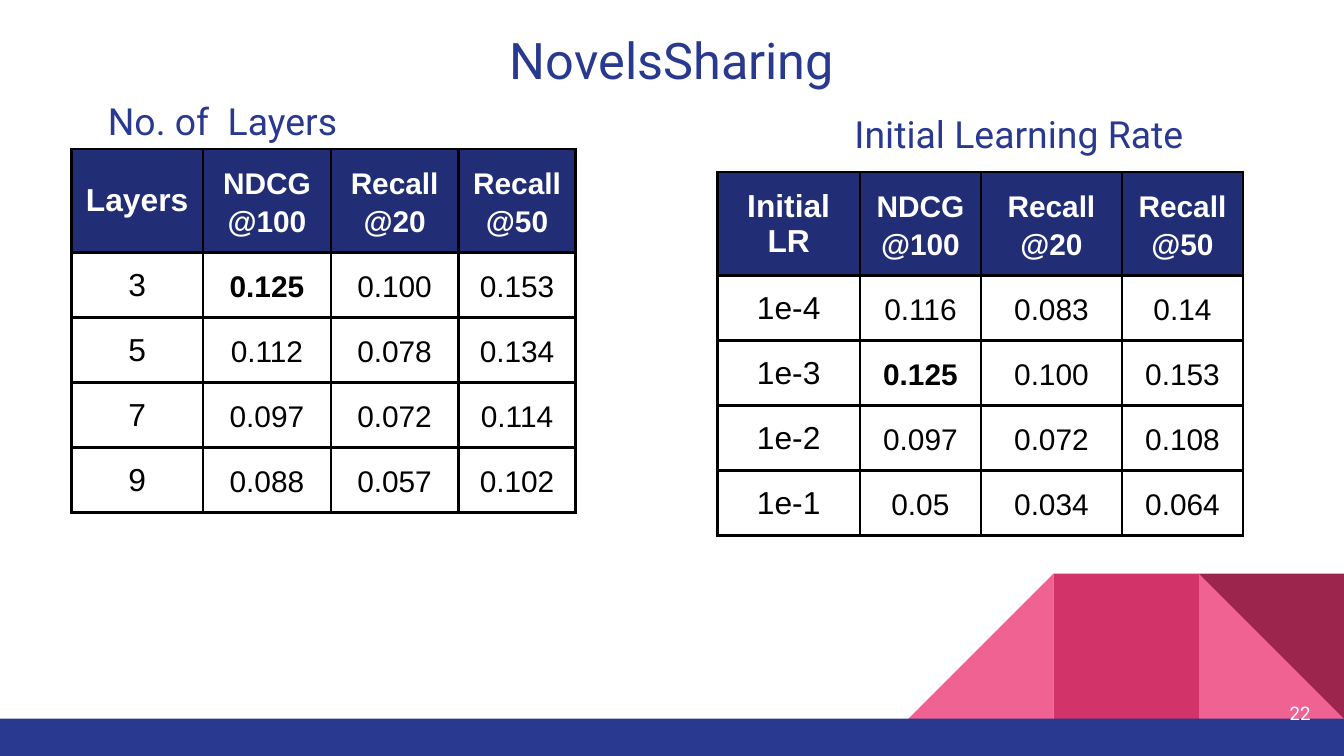
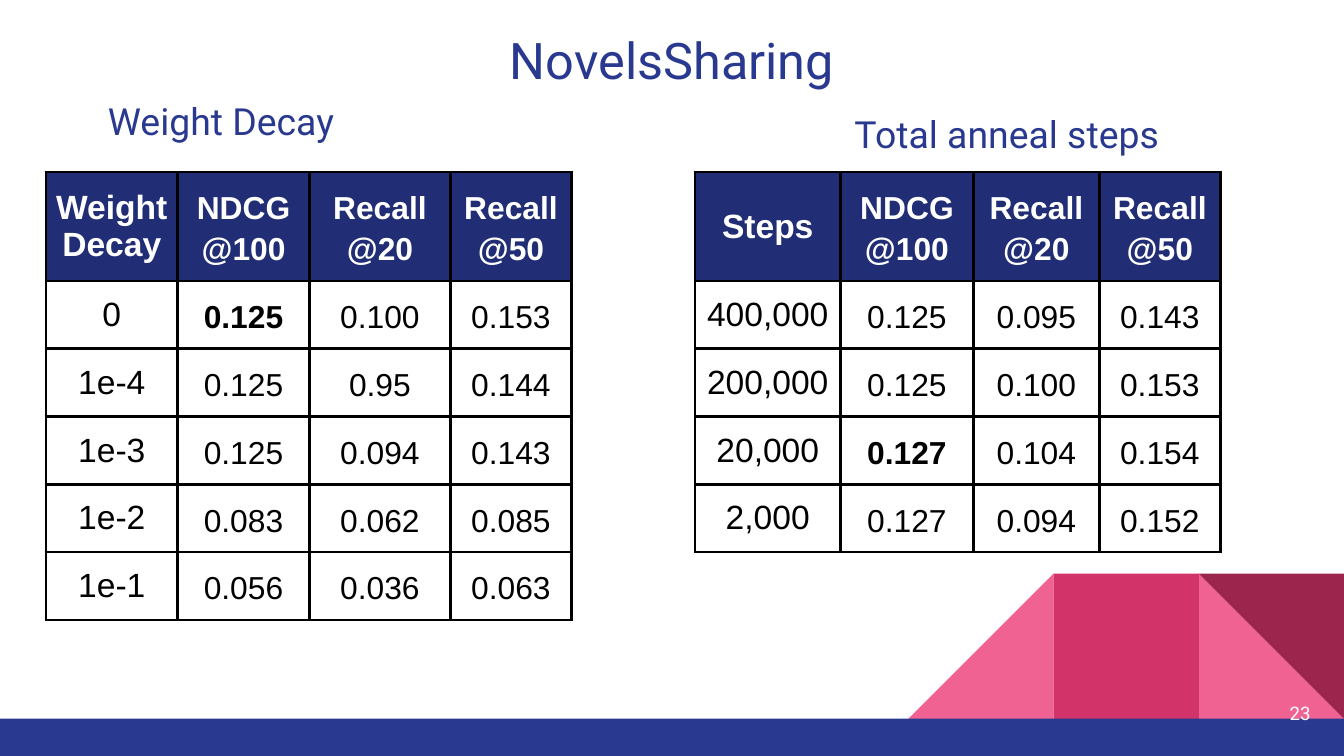
from dataclasses import dataclass

import pptx
import pptx.dml.color
import pptx.enum.shapes
import pptx.enum.text
import pptx.oxml
import pptx.oxml.ns
import pptx.util

Pt = pptx.util.Pt
RGB = pptx.dml.color.RGBColor.from_string
SHAPE = pptx.enum.shapes.MSO_SHAPE
ALIGN = pptx.enum.text.PP_ALIGN
ANCHOR = pptx.enum.text.MSO_ANCHOR


@dataclass(frozen=True)
class Theme:
    navy: str = "2A3990"
    header: str = "212D74"
    pink: str = "F06292"
    rose: str = "D23369"
    wine: str = "9C254D"
    white: str = "FFFFFF"
    black: str = "000000"
    heading_font: str = "Roboto"
    table_font: str = "Arial"
    title_size: int = 27
    caption_size: int = 20
    number_size: int = 10
    inset: float = 7.2
    key_inset: float = 5
    border: float = 1.5


T = Theme()


def write(tf, text, size, color, font, align, anchor, bold=False):
    """Put one formatted run in a text frame or a table cell's text frame."""
    tf.word_wrap = True
    tf.vertical_anchor = anchor
    p = tf.paragraphs[0]
    p.alignment = align
    r = p.add_run()
    r.text = text
    r.font.size, r.font.name, r.font.bold = Pt(size), font, bold
    r.font.color.rgb = RGB(color)
    return p


def place(sp, left, top, width, height):
    """Position a heading box and give it the common insets."""
    sp.left, sp.top, sp.width, sp.height = Pt(left), Pt(top), Pt(width), Pt(height)
    tf = sp.text_frame
    tf.auto_size = pptx.enum.text.MSO_AUTO_SIZE.NONE
    tf.margin_left = tf.margin_right = tf.margin_top = tf.margin_bottom = Pt(T.inset)
    return tf


# Content: each table has caption, place, column widths, first heading, rows, best row
TITLE = "NovelsSharing"
METRICS = ["NDCG@100", "Recall@20", "Recall@50"]
CAPTION_PLACES = [(50.7, 45.4), (450.7, 52.6)]
SLIDES = [
    dict(number="22", size=16, header_height=55.2, row_height=34.8, tables=[
        ("No. of  Layers", 38.2, 79.9, [70.6, 68.4, 68.4, 62.8], "Layers", [
            ["3", "0.125", "0.100", "0.153"],
            ["5", "0.112", "0.078", "0.134"],
            ["7", "0.097", "0.072", "0.114"],
            ["9", "0.088", "0.057", "0.102"]], 1),
        ("Initial Learning Rate", 384.4, 92.2, [76.3, 64.8, 75.6, 64.8], "Initial LR", [
            ["1e-4", "0.116", "0.083", "0.14"],
            ["1e-3", "0.125", "0.100", "0.153"],
            ["1e-2", "0.097", "0.072", "0.108"],
            ["1e-1", "0.05", "0.034", "0.064"]], 2),
    ]),
    dict(number="23", size=17, header_height=58, row_height=36.2, tables=[
        ("Weight Decay", 24.6, 92.2, [70.6, 70.6, 75.6, 64.8], "Weight Decay", [
            ["0", "0.125", "0.100", "0.153"],
            ["1e-4", "0.125", "0.95", "0.144"],
            ["1e-3", "0.125", "0.094", "0.143"],
            ["1e-2", "0.083", "0.062", "0.085"],
            ["1e-1", "0.056", "0.036", "0.063"]], 1),
        ("Total anneal steps", 372.3, 92.2, [78, 71.2, 67.5, 64.8], "Steps", [
            ["400,000", "0.125", "0.095", "0.143"],
            ["200,000", "0.125", "0.100", "0.153"],
            ["20,000", "0.127", "0.104", "0.154"],
            ["2,000", "0.127", "0.094", "0.152"]], 3),
    ]),
]

prs = pptx.Presentation()
prs.slide_width, prs.slide_height = Pt(720), Pt(405)
layout = prs.slide_layouts[5]
slides = [prs.slides.add_slide(layout) for _ in SLIDES]

# Corner ornament and bottom band: drawn once, then moved to the shared layout
TILE, TILE_TOP = 77.8, 307.3
group = slides[0].shapes.add_group_shape()
band = slides[0].shapes.add_shape(SHAPE.RECTANGLE, 0, Pt(385), Pt(720), Pt(20))
ornament = [(band, T.navy)]
for kind, column, color, flip, turn in [
    (SHAPE.RIGHT_TRIANGLE, 2, T.pink, False, 0),
    (SHAPE.RIGHT_TRIANGLE, 0, T.pink, True, 0),
    (SHAPE.RECTANGLE, 1, T.rose, False, 0),
    (SHAPE.RIGHT_TRIANGLE, 2, T.wine, False, 180),
]:
    left = 720 - (3 - column) * TILE
    sp = group.shapes.add_shape(kind, Pt(left), Pt(TILE_TOP), Pt(TILE), Pt(TILE))
    sp.rotation = turn
    if flip:
        sp.element.spPr.xfrm.set("flipH", "1")
    ornament.append((sp, color))
for sp, color in ornament:
    sp.shadow.inherit = False
    sp.fill.solid()
    sp.fill.fore_color.rgb = RGB(color)
    sp.line.fill.background()
for sp in (group, band):
    layout.shapes.element.append(sp.element)

for s, data in zip(slides, SLIDES):
    # Page number
    tf = place(s.shapes.add_textbox(0, 0, 0, 0), 666, 366.5, 43.2, 31)
    write(tf, data["number"], T.number_size, T.white, T.heading_font,
          ALIGN.RIGHT, ANCHOR.MIDDLE)

    # Title
    tf = place(s.shapes.title, 24.5, 8.6, 671, 47.5)
    write(tf, TITLE, T.title_size, T.navy, T.heading_font,
          ALIGN.CENTER, ANCHOR.TOP)

    # Captions and result tables
    for spot, table in zip(CAPTION_PLACES, data["tables"]):
        caption, left, top, widths, key, rows, best = table
        tf = place(s.shapes.add_textbox(0, 0, 0, 0), *spot, 199.4, 47.5)
        write(tf, caption, T.caption_size, T.navy, T.heading_font,
              ALIGN.LEFT, ANCHOR.TOP)

        grid = [[key] + METRICS] + rows
        heights = [data["header_height"]] + [data["row_height"]] * len(rows)
        tbl = s.shapes.add_table(len(grid), len(widths), Pt(left), Pt(top),
                                 Pt(sum(widths)), Pt(sum(heights))).table
        tbl.horz_banding = False
        for column, width in zip(tbl.columns, widths):
            column.width = Pt(width)
        for row, height in zip(tbl.rows, heights):
            row.height = Pt(height)

        for i, values in enumerate(grid):
            for j, value in enumerate(values):
                cell = tbl.cell(i, j)
                inset = T.inset if j else T.key_inset
                cell.margin_left = cell.margin_right = Pt(inset)
                cell.margin_top = cell.margin_bottom = Pt(inset)
                is_header = i == 0
                p = write(cell.text_frame, value, data["size"] + (j == 0),
                          T.white if is_header else T.black, T.table_font,
                          ALIGN.CENTER, None, is_header or (i, j) == (best, 1))
                cell.vertical_anchor = ANCHOR.MIDDLE
                if j:
                    p.line_spacing = 1.15

                # Borders come before the fill in the cell properties
                tcPr = cell._tc.get_or_add_tcPr()
                for side in "LRTB":
                    tcPr.append(pptx.oxml.parse_xml(
                        f'<a:ln{side} {pptx.oxml.ns.nsdecls("a")} w="{Pt(T.border)}">'
                        f'<a:solidFill><a:srgbClr val="{T.black}"/></a:solidFill>'
                        f'</a:ln{side}>'))
                if is_header:
                    cell.fill.solid()
                    cell.fill.fore_color.rgb = RGB(T.header)
                else:
                    cell.fill.background()

prs.save("out.pptx")
